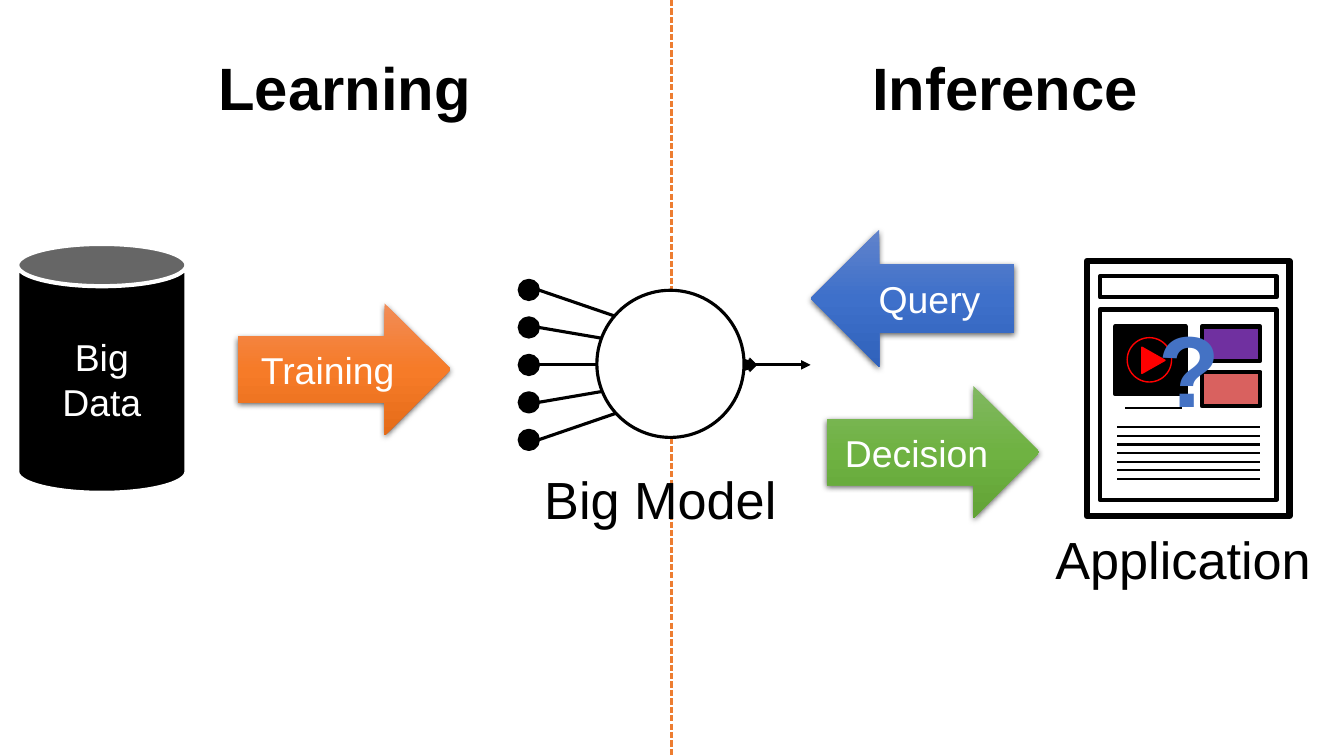
from copy import deepcopy

from lxml import etree
from pptx import Presentation
from pptx import util as u
from pptx.dml.color import RGBColor
from pptx.enum import dml, shapes, text
from pptx.oxml import ns

SHAPE = shapes.MSO_SHAPE
BLACK, WHITE, RED, BLUE = "000000", "FFFFFF", "FF0000", "4472C4"


def color(hex_value):
    return RGBColor.from_string(hex_value)


def add_child(parent, tag, **attributes):
    return etree.SubElement(parent, ns.qn(tag), attributes)


def apply_format(target, values):
    for name, value in values.items():
        setattr(target, name, value)


def write_text(frame, lines, size, hex_value, bold=False, align=text.PP_ALIGN.CENTER):
    for index, line in enumerate(lines):
        paragraph = frame.add_paragraph() if index else frame.paragraphs[0]
        paragraph.text = line
        paragraph.alignment = align
        apply_format(paragraph.font, {"name": "Arial", "size": u.Pt(size), "bold": bold})
        paragraph.font.color.rgb = color(hex_value)


def add_label(slide, box, label, size, **style):
    frame = slide.shapes.add_textbox(*map(u.Inches, box)).text_frame
    apply_format(frame, {"word_wrap": False, "auto_size": text.MSO_AUTO_SIZE.SHAPE_TO_FIT_TEXT})
    write_text(frame, [label], size, **style)


def add_figure(slide, kind, box, fill=None, line=None, width=3, rotation=0):
    shape = slide.shapes.add_shape(kind, *map(u.Inches, box))
    shape.shadow.inherit = False
    shape.rotation = rotation
    if fill:
        shape.fill.solid()
        shape.fill.fore_color.rgb = color(fill)
    else:
        shape.fill.background()
    if line:
        shape.line.color.rgb = color(line)
        shape.line.width = u.Pt(width)
    else:
        shape.line.fill.background()
    return shape


def add_line(slide, start, end, hex_value=BLACK, width=1.5, arrow=False, dash=None):
    connector = slide.shapes.add_connector(
        shapes.MSO_CONNECTOR.STRAIGHT, *map(u.Inches, start + end))
    apply_format(connector.line, {"width": u.Pt(width), "dash_style": dash})
    connector.line.color.rgb = color(hex_value)
    if arrow:
        add_child(connector.line._get_or_add_ln(), "a:tailEnd", type="triangle")
    add_child(connector._element.spPr, "a:effectLst")


def add_block_arrow(slide, kind, box, label, gradient):
    shape = add_figure(slide, kind, box)
    shape.fill.gradient()
    properties = shape._element.spPr
    stop_list = properties.find(".//" + ns.qn("a:gsLst"))
    stop_list.append(deepcopy(stop_list[0]))
    for stop, position, hex_value in zip(shape.fill.gradient_stops, (0, 0.5, 1), gradient):
        stop.position = position
        stop.color.rgb = color(hex_value)
    shape.fill.gradient_angle = 270
    shadow = add_child(properties.find(ns.qn("a:effectLst")), "a:outerShdw",
                       blurRad=str(u.Pt(4.5)), dist=str(u.Pt(1.5)),
                       dir="5400000", algn="ctr", rotWithShape="0")
    add_child(add_child(shadow, "a:srgbClr", val=BLACK), "a:alpha", val="63000")
    shape.text_frame.vertical_anchor = text.MSO_ANCHOR.MIDDLE
    write_text(shape.text_frame, [label], 26.7, WHITE)


def add_database(slide):
    can = add_figure(slide, SHAPE.CAN, (0.17, 2.42, 1.68, 2.47), BLACK, WHITE)
    can.text_frame.vertical_anchor = text.MSO_ANCHOR.MIDDLE
    write_text(can.text_frame, ["Big", "Data"], 26.7, WHITE)


def add_application(slide):
    for box, width in (((10.78, 2.59, 2.01, 2.53), 4.5),
                       ((10.91, 2.74, 1.75, 0.21), 3),
                       ((10.91, 3.07, 1.75, 1.89), 3)):
        add_figure(slide, SHAPE.RECTANGLE, box, WHITE, BLACK, width)
    for row in range(7):
        y = 4.24 + 0.085 * row
        add_line(slide, (11.08, y), (12.5, y))
    add_label(slide, (10.32, 5.18, 2.83, 0.73), "Application", 37.3, hex_value=BLACK)


def add_media(slide):
    add_figure(slide, SHAPE.RECTANGLE, (11.06, 3.24, 0.7, 0.67), BLACK, BLACK)
    add_figure(slide, SHAPE.OVAL, (11.18, 3.35, 0.44, 0.44), None, RED, 1)
    add_figure(slide, SHAPE.ISOSCELES_TRIANGLE, (11.31, 3.46, 0.26, 0.23), RED, RED, 1, 90)
    for top, fill in ((3.24, "7030A0"), (3.69, "D9615F")):
        add_figure(slide, SHAPE.RECTANGLE, (11.92, top, 0.58, 0.34), fill, BLACK)
    add_line(slide, (11.16, 4.05), (11.72, 4.05))
    add_label(slide, (11.39, 2.99, 0.76, 1.31), "?", 72,
              hex_value=BLUE, bold=True, align=text.PP_ALIGN.LEFT)


def add_model(slide):
    middle, dot = 3.62, 0.19
    inputs = [middle + 0.372 * step for step in range(-2, 3)]
    add_line(slide, (7.16, middle), (8.04, middle), width=2.25, arrow=True)
    for y in inputs:
        add_line(slide, (5.34, y), (7.51, middle), width=2.25, arrow=True)
    add_figure(slide, SHAPE.OVAL, (5.92, 2.88, 1.46, 1.46), WHITE, BLACK, 2.25)
    for y in inputs:
        add_figure(slide, SHAPE.OVAL, (5.15, y - dot / 2, dot, dot), BLACK, BLACK, 2.25)


def main():
    presentation = Presentation()
    apply_format(presentation, {"slide_width": u.Inches(13.33), "slide_height": u.Inches(7.5)})
    slide = presentation.slides.add_slide(presentation.slide_layouts[6])
    add_line(slide, (6.66, 0), (6.66, 7.5), "ED7D31", dash=dml.MSO_LINE.SQUARE_DOT)
    add_database(slide)
    add_label(slide, (5.26, 4.59, 2.58, 0.73), "Big Model", 37.3, hex_value=BLACK)
    add_block_arrow(slide, SHAPE.RIGHT_ARROW, (2.36, 3.01, 2.11, 1.31), "Training",
                    ("F18C57", "F67B28", "E56C19"))
    add_application(slide)
    add_block_arrow(slide, SHAPE.RIGHT_ARROW, (8.2, 3.83, 2.11, 1.31), "Decision",
                    ("81B861", "6FB242", "62A336"))
    add_block_arrow(slide, SHAPE.LEFT_ARROW, (8.04, 2.28, 2.02, 1.36), "Query",
                    ("6183CB", "3E70CA", "3062BB"))
    add_media(slide)
    add_model(slide)
    for box, heading in (((2.06, 0.45, 2.72, 0.82), "Learning"),
                         ((8.53, 0.45, 2.88, 0.82), "Inference")):
        add_label(slide, box, heading, 42.7, hex_value=BLACK, bold=True)
    presentation.save("out.pptx")


if __name__ == "__main__":
    main()
